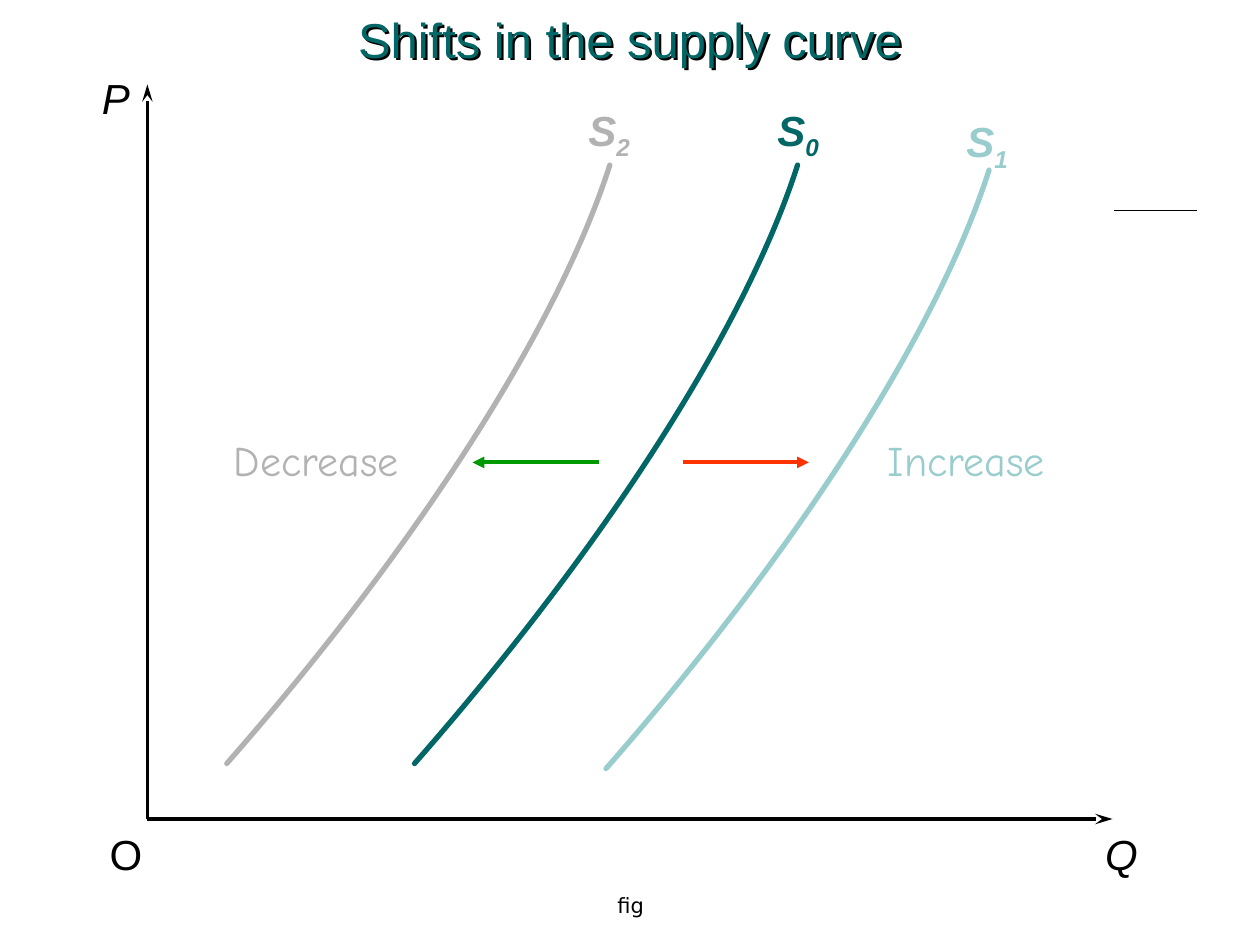
from dataclasses import dataclass

from lxml import etree
from pptx import Presentation
from pptx.dml.color import RGBColor
from pptx.enum.shapes import MSO_CONNECTOR, MSO_SHAPE
from pptx.enum.text import MSO_ANCHOR, PP_ALIGN
from pptx.oxml.ns import qn
from pptx.util import Inches, Pt

STRAIGHT = MSO_CONNECTOR.STRAIGHT
RECT = MSO_SHAPE.RECTANGLE
CENTER = PP_ALIGN.CENTER
TOP, MIDDLE, BOTTOM = MSO_ANCHOR.TOP, MSO_ANCHOR.MIDDLE, MSO_ANCHOR.BOTTOM


@dataclass(frozen=True)
class Theme:
    """Colours, fonts and type sizes of the slide."""
    black: str = "000000"
    white: str = "FFFFFF"
    teal: str = "006666"
    pale: str = "99CCCC"
    gray: str = "B2B2B2"
    red: str = "FF3300"
    green: str = "009900"
    sans: str = "Arial"
    comic: str = "Comic Neue"
    foot: str = "DejaVu Sans"
    title: int = 28
    label: int = 24
    small: int = 12


THEME = Theme()


def add_text(slide, box, parts, color, size=THEME.label, font=THEME.sans,
             bold=False, italic=False, anchor=TOP, wrap=False):
    """Place one centred line of text and return its shape."""
    shape = slide.shapes.add_textbox(*map(Inches, box))
    frame = shape.text_frame
    frame.word_wrap = wrap
    frame.vertical_anchor = anchor
    line = frame.paragraphs[0]
    line.alignment = CENTER
    for part in parts:
        run = line.add_run()
        run.text = part
        run.font.name, run.font.size = font, Pt(size)
        run.font.bold, run.font.italic = bold, italic
        run.font.color.rgb = RGBColor.from_string(color)
    return shape


def add_line(slide, start, end, color, width, arrow=None, size="med"):
    """Draw a straight line, with an arrowhead at its end if named."""
    line = slide.shapes.add_connector(STRAIGHT, *map(Inches, start + end))
    line.line.color.rgb = RGBColor.from_string(color)
    line.line.width = Pt(width)
    if arrow:
        etree.SubElement(line.line._get_or_add_ln(), qn("a:tailEnd"),
                         type=arrow, w="med", len=size)
    etree.SubElement(line._element.spPr, qn("a:effectLst"))


def add_title(slide, box):
    """Write the heading with a small dark shadow."""
    shape = add_text(slide, box, ["Shifts in the supply curve"], THEME.teal,
                     THEME.title, anchor=MIDDLE, wrap=True)
    effect = etree.SubElement(shape._element.spPr, qn("a:effectLst"))
    shadow = etree.SubElement(effect, qn("a:outerShdw"), dist="22860", dir="2700000")
    etree.SubElement(shadow, qn("a:srgbClr"), val=THEME.black)


def add_panel(slide, box):
    """Lay the white chart panel over the header rule."""
    add_line(slide, (1.5, 1.67), (9.5, 1.67), THEME.black, 1)
    panel = slide.shapes.add_shape(RECT, *map(Inches, box))
    panel.shadow.inherit = False
    panel.fill.solid()
    panel.fill.fore_color.rgb = RGBColor.from_string(THEME.white)
    panel.line.fill.background()


def add_axes(slide, box):
    """Draw the price and quantity axes along the left and bottom of the box."""
    left, top, width, height = box
    right, base = left + width, top + height
    for end in ((left, top), (right, base)):
        add_line(slide, (left, base), end, THEME.black, 2, "stealth", "lg")
    add_text(slide, (left - 0.46, top - 0.14, 0.42, 0.5), ["P"], THEME.black, italic=True)
    add_text(slide, (right - 0.2, base + 0.03, 0.54, 0.5), ["Q"], THEME.black, italic=True)
    add_text(slide, (left - 0.4, base + 0.03, 0.46, 0.5), ["O"], THEME.black)


def add_curve(slide, box, mark, spot, color):
    """Draw a supply curve down the box, with its label at the given spot."""
    left, top, width, height = box
    bends = ((0.86, 0.28), (0.48, 0.65), (0, 1))
    points = [(Inches(left + x * width), Inches(top + y * height)) for x, y in bends]
    form = slide.shapes.build_freeform(Inches(left + width), Inches(top))
    form.add_line_segments(points, close=False)
    curve = form.convert_to_shape()
    curve.shadow.inherit = False
    curve.fill.background()
    curve.line.color.rgb = RGBColor.from_string(color)
    curve.line.width = Pt(3)
    curve.line._get_or_add_ln().set("cap", "rnd")
    steps = list(curve._element.iter(qn("a:lnTo")))
    bezier = etree.SubElement(steps[0].getparent(), qn("a:cubicBezTo"))
    for step in steps:
        bezier.append(step[0])
        step.getparent().remove(step)
    label = add_text(slide, spot + (0.53, 0.56), ["S", mark], color,
                     bold=True, italic=True)
    label.text_frame.paragraphs[0].runs[1]._r.rPr.set("baseline", "-25000")


def add_shift(slide, box, start, end, word, tint, color):
    """Draw a shift arrow level with the middle of its word."""
    level = box[1] + 0.27
    add_line(slide, (start, level), (end, level), color, 2.25, "triangle")
    add_text(slide, box, [word], tint, font=THEME.comic)


def add_foot(slide, box):
    """Write the centred footer."""
    add_text(slide, box, ["fig"], THEME.black, THEME.small, THEME.foot,
             anchor=BOTTOM, wrap=True)


def main():
    """Build the slide and save it."""
    deck = Presentation()
    deck.slide_width, deck.slide_height = Inches(10), Inches(7.5)
    slide = deck.slides.add_slide(deck.slide_layouts[6])
    add_panel(slide, (1.17, 0.65, 7.67, 5.83))
    add_foot(slide, (3.42, 6.83, 3.17, 0.5))
    add_axes(slide, (1.17, 0.67, 7.66, 5.83))
    for left, top, mark, spot, color in (
        (3.29, 1.31, "0", (6.07, 0.78), THEME.teal),
        (4.81, 1.35, "1", (7.57, 0.87), THEME.pale),
        (1.8, 1.31, "2", (4.57, 0.78), THEME.gray),
    ):
        add_curve(slide, (left, top, 3.04, 4.75), mark, spot, color)
    add_shift(slide, (6.94, 3.4, 1.46, 0.5), 5.42, 6.42, "Increase", THEME.pale, THEME.red)
    add_shift(slide, (1.75, 3.4, 1.52, 0.5), 4.75, 3.75, "Decrease", THEME.gray, THEME.green)
    add_title(slide, (0, 0, 10, 0.61))
    deck.save("out.pptx")


if __name__ == "__main__":
    main()
